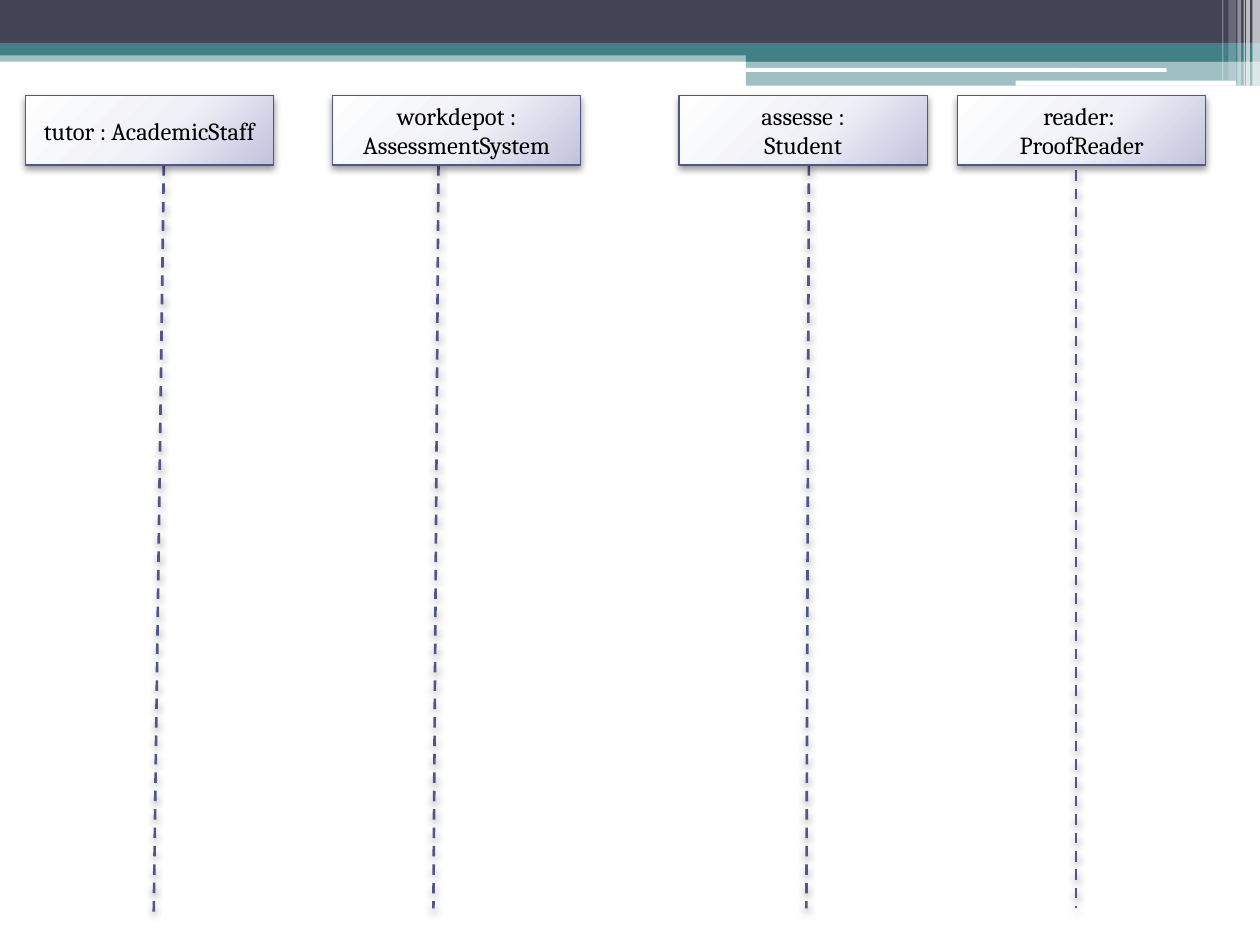
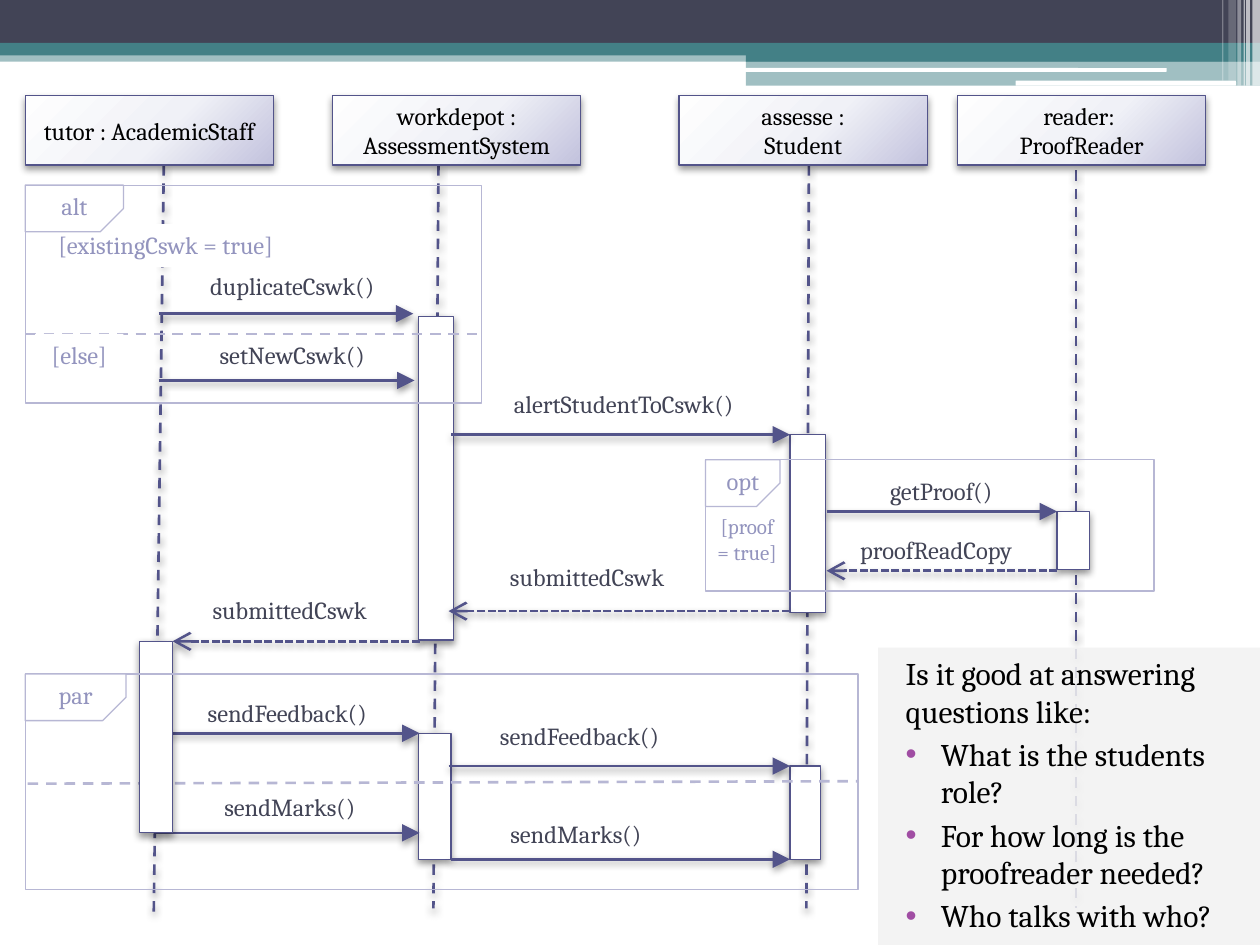
"""Build two slides that develop a UML sequence diagram for coursework submission."""
from lxml.etree import SubElement
from pptx import Presentation
from pptx.dml.color import RGBColor
from pptx.enum.dml import MSO_LINE
from pptx.enum.shapes import MSO_CONNECTOR, MSO_SHAPE as Preset
from pptx.enum.text import MSO_ANCHOR as Anchor, PP_ALIGN as Align
from pptx.oxml import parse_xml
from pptx.oxml.ns import nsdecls, qn
from pptx.util import Inches, Pt

WIDTH, HEIGHT = 10, 7.5
FONT = "Cambria"
COLOURS = {
    "ink": "000000", "paper": "FFFFFF", "navy": "424456", "teal": "438086",
    "violet": "53548A", "lilac": "B7B7D4", "guard": "9394BE",
    "panel": "F2F2F2", "bullet": "A04DA3",
}

BANDS = [
    (0, 0.4, WIDTH, 0.09, "teal", 50),
    (0, 0, WIDTH, 0.34, "navy", 100),
    (0, 0.34, WIDTH, 0.1, "teal", 100),
    (5.92, 0.39, 4.08, 0.1, "teal", 100),
    (5.92, 0.48, 4.08, 0.2, "teal", 50),
]
PILLS = [(5.91, 0.54, 3.35, 0.03), (8.06, 0.64, 1.75, 0.04)]
STRIPES = [
    (9.94, 0.06, 0.68, 65), (9.89, 0.03, 0.68, 65), (9.87, 0.01, 0.68, 60),
    (9.82, 0.03, 0.68, 40), (9.75, 0.06, 0.64, 20), (9.7, 0.01, 0.64, 30),
]

HEAD_TOP, HEAD_WIDTH, HEAD_HEIGHT = 0.76, 1.97, 0.55
HEAD_STOPS = [(0, "FEFEFE"), (55, "F0F1F7"), (100, "C2C2DD")]
PARTICIPANTS = [
    ("assesse :\nStudent", 5.39, (6.42, 1.31), (6.4, 7.21)),
    ("workdepot : AssessmentSystem", 2.64, (3.48, 1.31), (3.44, 7.21)),
    ("tutor : AcademicStaff", 0.2, (1.3, 1.31), (1.22, 7.29)),
    ("reader: \nProofReader", 7.6, (8.54, 1.35), (8.54, 7.21)),
]

ACTIVATIONS = [
    (3.32, 2.51, 0.28, 2.57), (3.32, 5.82, 0.26, 1), (6.27, 3.45, 0.28, 1.41),
    (6.27, 6.08, 0.24, 0.74), (8.39, 4.06, 0.26, 0.46),
]
TUTOR_ACTIVATION = (1.11, 5.09, 0.26, 1.52)

LABEL_WIDTH, LABEL_HEIGHT = 2.15, 0.34
CALLS = [
    ("duplicateCswk()", 1.26, 3.28, 2.49, 2.32, 2.1),
    ("setNewCswk()", 1.26, 3.29, 3.02, 2.32, 2.65),
    ("alertStudentToCswk()", 3.58, 6.27, 3.45, 4.95, 3.04),
    ("sendFeedback()", 1.22, 3.33, 5.82, 2.28, 5.49),
    ("sendFeedback()", 3.56, 6.27, 6.08, 4.6, 5.67),
    ("sendMarks()", 1.22, 3.33, 6.61, 2.3, 6.24),
    ("sendMarks()", 3.58, 6.27, 6.82, 4.57, 6.45),
    ("getProof()", 6.56, 8.39, 4.06, 7.47, 3.73),
]
REPLIES = [
    ("submittedCswk", 6.27, 3.56, 4.85, 4.66, 4.41),
    ("submittedCswk", 3.33, 1.37, 5.09, 2.3, 4.67),
    ("proofReadCopy", 8.39, 6.56, 4.53, 7.43, 4.2),
]

FRAGMENTS = [
    ("alt", (0.2, 1.47, 3.62, 1.73), 0.78),
    ("par", (0.2, 5.35, 6.61, 1.71), 0.8),
    ("opt", (5.6, 3.65, 3.56, 1.04), 0.59),
]
TAB_HEIGHT = 0.37
DIVIDERS = [((0.2, 2.65), (3.81, 2.65)), ((0.22, 6.22), (6.81, 6.2))]
OPT_GUARD = ("[proof\n= true]", (5.55, 4.03, 0.76, 0.5), 12)
ALT_GUARDS = [
    ("[else]", (0.28, 2.65, 0.7, 0.34), 14),
    ("[existingCswk = true]", (0.29, 1.78, 2.05, 0.34), 14),
]

PANEL = (6.97, 5.14, 3.03, 2.36)
QUESTION = "Is it good at answering questions like:"
POINTS = [
    "What is the students role?",
    "For how long is the proofreader needed?",
    "Who talks with who?",
]


def rgb(name):
    return RGBColor.from_string(COLOURS[name])


def add_shadow(item):
    """Give a shape or connector the soft shadow below it."""
    properties = item._element.spPr
    effects = properties.find(qn("a:effectLst"))
    if effects is None:
        effects = SubElement(properties, qn("a:effectLst"))
    effects.append(parse_xml(
        f'<a:outerShdw {nsdecls("a")} blurRad="{Pt(4.1)}" dist="{Pt(2)}" dir="5400000" '
        'rotWithShape="0"><a:srgbClr val="000000"><a:alpha val="40000"/></a:srgbClr></a:outerShdw>'))


def add_box(page, frame, fill=None, line=None, preset=Preset.RECTANGLE, alpha=100, shadow=False):
    box = page.shapes.add_shape(preset, *map(Inches, frame))
    box.shadow.inherit = False
    if fill:
        box.fill.solid()
        box.fill.fore_color.rgb = rgb(fill)
        if alpha < 100:
            colour = box._element.spPr.find(qn("a:solidFill"))[0]
            SubElement(colour, qn("a:alpha")).set("val", str(alpha * 1000))
    else:
        box.fill.background()
    if line:
        box.line.color.rgb = rgb(line)
        box.line.width = Pt(0.75)
    else:
        box.line.fill.background()
    if shadow:
        add_shadow(box)
    return box


def write(box, text, colour, size=14, align=Align.CENTER, anchor=Anchor.TOP):
    frame = box.text_frame
    frame.word_wrap = True
    frame.vertical_anchor = anchor
    frame.text = text
    for para in frame.paragraphs:
        para.alignment = align
        for span in para.runs:
            span.font.name = FONT
            span.font.size = Pt(size)
            span.font.color.rgb = rgb(colour)


def add_label(page, text, frame, colour):
    write(page.shapes.add_textbox(*map(Inches, frame)), text, colour)


def add_guard(page, text, frame, size):
    write(add_box(page, frame, "paper"), text, "guard", size)


def add_line(page, start, end, colour="violet", dash=None, head=None, shadow=True):
    line = page.shapes.add_connector(MSO_CONNECTOR.STRAIGHT, *map(Inches, start + end))
    line.line.color.rgb = rgb(colour)
    line.line.width = Pt(1.5)
    if dash:
        line.line.dash_style = dash
    if head:
        tip = SubElement(line._element.spPr.find(qn("a:ln")), qn("a:tailEnd"))
        for name, value in (("type", head), ("w", "lg"), ("len", "lg")):
            tip.set(name, value)
    if shadow:
        add_shadow(line)
    else:
        SubElement(line._element.spPr, qn("a:effectLst"))


def add_backdrop(page):
    for *frame, colour, alpha in BANDS:
        add_box(page, frame, colour, alpha=alpha)
    for frame in PILLS:
        add_box(page, frame, "paper", preset=Preset.ROUNDED_RECTANGLE)
    for left, width, height, alpha in STRIPES:
        add_box(page, (left, 0, width, height), "paper", alpha=alpha)


def add_participant(page, name, left, start, end):
    add_line(page, start, end, dash=MSO_LINE.DASH)
    head = add_box(page, (left, HEAD_TOP, HEAD_WIDTH, HEAD_HEIGHT), line="violet", shadow=True)
    stops = "".join(f'<a:gs pos="{place * 1000}"><a:srgbClr val="{colour}"/></a:gs>'
                    for place, colour in HEAD_STOPS)
    properties = head._element.spPr
    properties.replace(properties.find(qn("a:noFill")), parse_xml(
        f'<a:gradFill {nsdecls("a")} rotWithShape="1"><a:gsLst>{stops}</a:gsLst><a:path path="circle">'
        '<a:fillToRect l="-40000" t="-90000" r="140000" b="190000"/></a:path></a:gradFill>'))
    write(head, name, "ink", anchor=Anchor.MIDDLE)


def add_message(page, message, head, dash=None):
    text, start, end, level, centre, top = message
    add_line(page, (start, level), (end, level), dash=dash, head=head)
    add_label(page, text, (centre - LABEL_WIDTH / 2, top, LABEL_WIDTH, LABEL_HEIGHT), "navy")


def add_fragment(page, operator, frame, tab_width):
    add_box(page, frame, line="lilac")
    left, top = frame[:2]
    tab = add_box(page, (left, top, tab_width, TAB_HEIGHT), "paper", "lilac",
                  Preset.SNIP_1_RECTANGLE)
    tab.adjustments[0] = 0.5
    tab._element.spPr.find(qn("a:xfrm")).set("flipV", "1")
    add_label(page, operator, (left, top, tab_width, LABEL_HEIGHT), "guard")


def add_questions(page):
    panel = add_box(page, PANEL, "panel", alpha=86)
    write(panel, "\n".join([QUESTION, *POINTS]), "ink", 18, Align.LEFT)
    for number, para in enumerate(panel.text_frame.paragraphs):
        para.space_before = Pt(3)
        settings = para._p.get_or_add_pPr()
        margin, indent = (0.4, -0.28) if number else (0.12, 0)
        settings.set("marL", str(Inches(margin)))
        settings.set("indent", str(Inches(indent)))
        if number:
            tint = SubElement(settings, qn("a:buClr"))
            SubElement(tint, qn("a:srgbClr")).set("val", COLOURS["bullet"])
            SubElement(settings, qn("a:buFont")).set("typeface", "Arial")
            SubElement(settings, qn("a:buChar")).set("char", "•")


def add_interactions(page):
    add_guard(page, *OPT_GUARD)
    for frame in ACTIVATIONS:
        add_box(page, frame, "paper", "violet", shadow=True)
    for call in CALLS:
        add_message(page, call, "triangle")
    for reply in REPLIES:
        add_message(page, reply, "arrow", MSO_LINE.SQUARE_DOT)
    for start, end in DIVIDERS:
        add_line(page, start, end, "lilac", MSO_LINE.DASH, shadow=False)
    add_box(page, TUTOR_ACTIVATION, "paper", "violet", shadow=True)
    for guard in ALT_GUARDS:
        add_guard(page, *guard)
    for fragment in FRAGMENTS:
        add_fragment(page, *fragment)
    add_questions(page)


def main():
    deck = Presentation()
    deck.slide_width, deck.slide_height = Inches(WIDTH), Inches(HEIGHT)
    for details in ([], [add_interactions]):
        page = deck.slides.add_slide(deck.slide_layouts[6])
        add_backdrop(page)
        for participant in PARTICIPANTS:
            add_participant(page, *participant)
        for add_details in details:
            add_details(page)
    deck.save("out.pptx")


if __name__ == "__main__":
    main()
